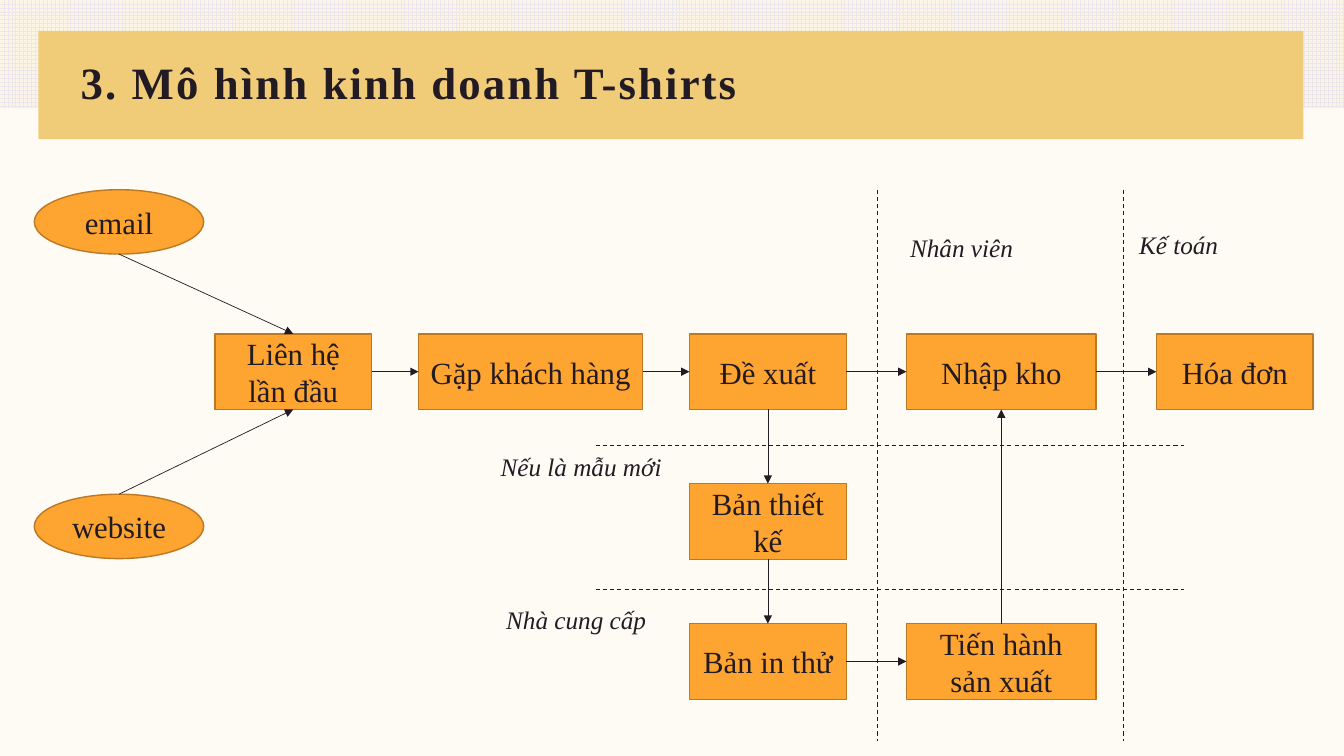
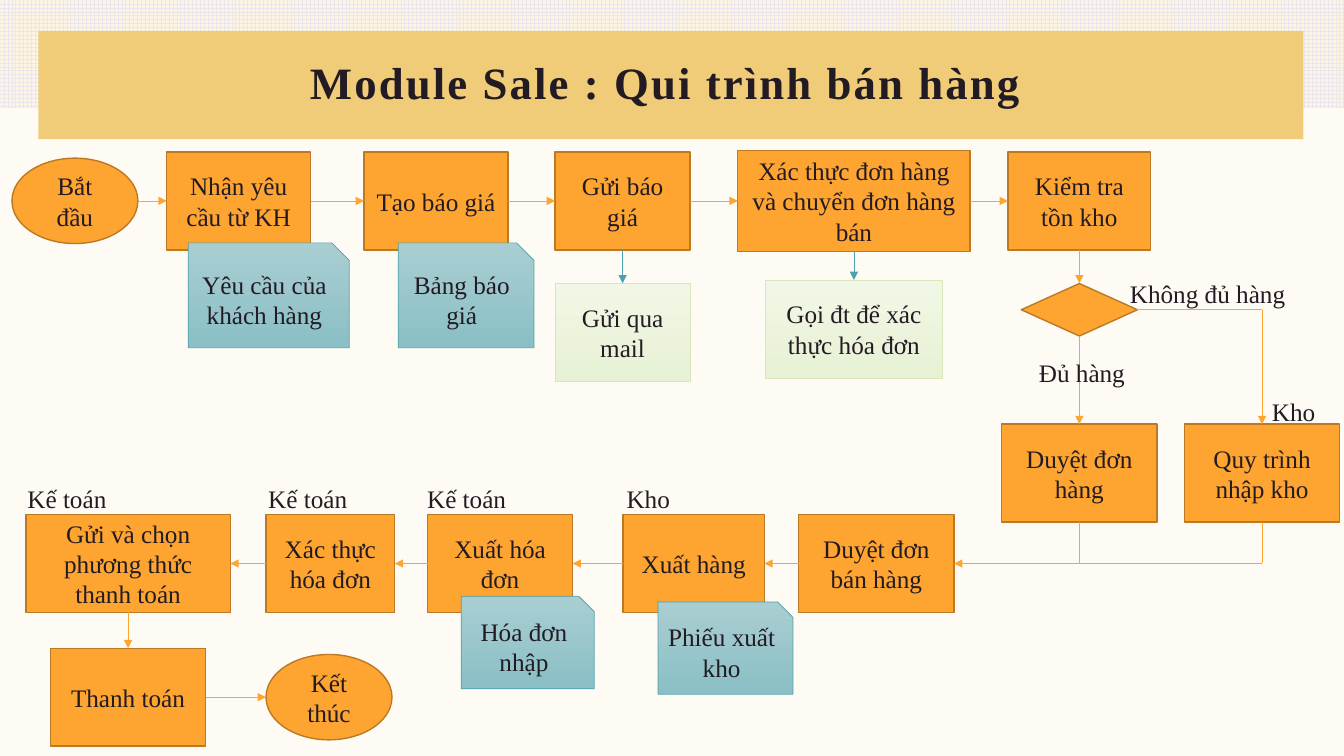
import dataclasses

import pptx
import pptx.dml.color
import pptx.enum.dml
import pptx.enum.shapes
import pptx.enum.text
import pptx.oxml
import pptx.oxml.ns
import pptx.slide
import pptx.util

Pt = pptx.util.Pt
RGBColor = pptx.dml.color.RGBColor
SHAPE = pptx.enum.shapes.MSO_SHAPE
ALIGN = pptx.enum.text.PP_ALIGN
ANCHOR = pptx.enum.text.MSO_ANCHOR
DASH = pptx.enum.dml.MSO_LINE.DASH
qn = pptx.oxml.ns.qn

FONT = "Times New Roman"
INK = RGBColor(0x23, 0x1B, 0x23)
PAPER = RGBColor(0xFE, 0xFB, 0xF5)
CREAM = RGBColor(0xFC, 0xF5, 0xE5)
GRID = RGBColor(0xEB, 0xE6, 0xEB)
GOLD = RGBColor(0xF0, 0xCC, 0x79)
ORANGE = RGBColor(0xFD, 0xA4, 0x31)
BROWN = RGBColor(0xBB, 0x79, 0x24)
TEAL = RGBColor(0x4D, 0xA1, 0xA8)
TEAL_LIGHT = RGBColor(0xA9, 0xCE, 0xD2)
TEAL_MID = RGBColor(0x8A, 0xBF, 0xC5)
LEAF = RGBColor(0xD7, 0xE7, 0xBA)
LEAF_LIGHT = RGBColor(0xF1, 0xF7, 0xE6)
LEAF_MID = RGBColor(0xE7, 0xF1, 0xD4)

SIDES = {"top": (0.5, 0, 0), "left": (0, 0.5, 1), "bottom": (0.5, 1, 2), "right": (1, 0.5, 3)}


def write(shape, text, size, align=ALIGN.LEFT, bold=False, italic=False):
    frame = shape.text_frame
    frame.word_wrap = True
    frame.text = text
    paragraph = frame.paragraphs[0]
    paragraph.alignment = align
    font = paragraph.runs[0].font
    font.name, font.size, font.bold, font.italic = FONT, Pt(size), bold, italic
    font.color.rgb = INK
    return paragraph


def site(shape, side):
    across, down, _ = SIDES[side]
    return shape.left + int(shape.width * across), shape.top + int(shape.height * down)


@dataclasses.dataclass
class Board:
    slide: pptx.slide.Slide
    left: float
    top: float
    size: int
    ink: RGBColor

    def node(self, text, x, y, width, height, kind=SHAPE.RECTANGLE,
             colours=(ORANGE,), edge=BROWN, weight=1):
        shape = self.slide.shapes.add_shape(
            kind, Pt(self.left + x), Pt(self.top + y), Pt(width), Pt(height))
        shape.shadow.inherit = False
        if len(colours) == 1:
            shape.fill.solid()
            shape.fill.fore_color.rgb = colours[0]
        else:
            shape.fill.gradient()
            shape.fill.gradient_angle = 270
            for stop, colour in zip(shape.fill.gradient_stops, colours):
                stop.color.rgb = colour
        shape.line.color.rgb = edge
        shape.line.width = Pt(weight)
        if text:
            write(shape, text, self.size, ALIGN.CENTER)
            shape.text_frame.vertical_anchor = ANCHOR.MIDDLE
        return shape

    def document(self, text, x, y, width, height):
        return self.node(text, x, y, width, height, SHAPE.SNIP_1_RECTANGLE,
                         (TEAL_LIGHT, TEAL_MID), TEAL, 0.5)

    def action(self, text, x, y, width, height):
        return self.node(text, x, y, width, height, SHAPE.RECTANGLE,
                         (LEAF_LIGHT, LEAF_MID), LEAF, 0.5)

    def caption(self, text, x, y, width, italic=False):
        label = self.slide.shapes.add_textbox(
            Pt(self.left + x), Pt(self.top + y), Pt(width), Pt(29))
        write(label, text, 18, italic=italic)

    def stroke(self, start, end, colour, weight=0.5, dash=None, arrow=True):
        line = self.slide.shapes.add_connector(
            pptx.enum.shapes.MSO_CONNECTOR.STRAIGHT, *start, *end)
        line.line.color.rgb = colour
        line.line.width = Pt(weight)
        if dash:
            line.line.dash_style = dash
        properties = line._element.spPr
        if arrow:
            outline = properties.find(qn("a:ln"))
            outline.append(outline.makeelement(qn("a:tailEnd"), {"type": "triangle"}))
        properties.append(properties.makeelement(qn("a:effectLst"), {}))
        return line

    def link(self, source, out_side, target, in_side, colour=None):
        line = self.stroke(site(source, out_side), site(target, in_side), colour or self.ink)
        if source.auto_shape_type != SHAPE.OVAL:
            line.begin_connect(source, SIDES[out_side][2])
        if target.auto_shape_type != SHAPE.OVAL:
            line.end_connect(target, SIDES[in_side][2])

    def chain(self, nodes, out_side="right", in_side="left"):
        for source, target in zip(nodes, nodes[1:]):
            self.link(source, out_side, target, in_side)

    def route(self, points, arrow=True):
        last = len(points) - 2
        for index, (start, end) in enumerate(zip(points, points[1:])):
            self.stroke(start, end, self.ink, arrow=arrow and index == last)

    def divider(self, x1, y1, x2, y2):
        self.stroke((Pt(self.left + x1), Pt(self.top + y1)),
                    (Pt(self.left + x2), Pt(self.top + y2)), INK, 0.75, DASH, False)


def add_titled_slide(deck, title, align):
    slide = deck.slides.add_slide(deck.slide_layouts[6])
    backdrop = slide.shapes.add_shape(SHAPE.RECTANGLE, 0, 0, deck.slide_width, Pt(77.5))
    backdrop.fill.patterned()
    backdrop.fill.pattern = pptx.enum.dml.MSO_PATTERN.LARGE_GRID
    backdrop.fill.fore_color.rgb = GRID
    backdrop.fill.back_color.rgb = CREAM
    band = slide.shapes.add_shape(SHAPE.RECTANGLE, Pt(27.5), Pt(22), Pt(903.5), Pt(77.5))
    band.fill.solid()
    band.fill.fore_color.rgb = GOLD
    for part in (backdrop, band):
        part.shadow.inherit = False
        part.line.fill.background()
    heading = slide.shapes.add_textbox(Pt(50.5), Pt(38), Pt(859), Pt(46))
    paragraph = write(heading, title, 32, align, bold=True)
    paragraph.line_spacing = 0.9
    paragraph.runs[0].font._element.set("spc", "150")
    heading.text_frame.vertical_anchor = ANCHOR.MIDDLE
    return slide


def draw_business_model(slide, left, top):
    board = Board(slide, left, top, 22, INK)
    main_row, design_row, print_row, height = 103, 210, 310, 54

    email, website = [board.node(name, 0, y, 121, 46, SHAPE.OVAL)
                      for name, y in (("email", 0), ("website", 217.5))]
    contact, meeting, proposal, stock, invoice = [
        board.node(text, x, main_row, width, height) for text, x, width in (
            ("Liên hệ lần đầu", 129, 112),
            ("Gặp khách hàng", 274.5, 160),
            ("Đề xuất", 468, 112),
            ("Nhập kho", 623, 135.5),
            ("Hóa đơn", 801.5, 112))]
    design = board.node("Bản thiết kế", 468, design_row, 112, height)
    sample = board.node("Bản in thử", 468, print_row, 112, height)
    production = board.node("Tiến hành sản xuất", 623, print_row, 135.5, height)

    board.link(email, "bottom", contact, "top")
    board.link(website, "top", contact, "bottom")
    board.chain([contact, meeting, proposal, stock, invoice])
    board.chain([proposal, design, sample], "bottom", "top")
    board.link(sample, "right", production, "left")
    board.link(production, "top", stock, "bottom")

    for x in (602, 778):
        board.divider(x, 0, x, 394)
    for y in (183, 285.5):
        board.divider(401, y, 821, y)
    for text, x, y, width in (
            ("Nếu là mẫu mới", 326, 183, 150),
            ("Nhà cung cấp", 330, 292.5, 130),
            ("Nhân viên", 618.5, 27, 150),
            ("Kế toán", 782, 25, 123)):
        board.caption(text, x, y, width, italic=True)


def draw_sales_process(slide, left, top):
    board = Board(slide, left, top, 18, ORANGE)
    height, lower_row, approval_row, payment_row = 70, 259, 194.5, 354.5

    start = board.node("Bắt đầu", 0, 4.5, 90, 61, SHAPE.OVAL)
    request, quote, send, confirm, check = [
        board.node(text, x, y, width, height - 2 * y) for text, x, y, width in (
            ("Nhận yêu cầu từ KH", 110.5, 0, 103),
            ("Tạo báo giá", 251.5, 0, 103),
            ("Gửi báo giá", 388, 0, 96.5),
            ("Xác thực đơn hàng và chuyển đơn hàng bán", 518.5, -1, 166),
            ("Kiểm tra tồn kho", 711.5, 0, 102))]
    in_stock = board.node("", 721, 94, 83, 37.5, SHAPE.DIAMOND)
    approve, restock = [
        board.node(text, x, approval_row, 111, height)
        for text, x in (("Duyệt đơn hàng", 707), ("Quy trình nhập kho", 837.5))]
    sale, delivery, bill, bill_check, method = [
        board.node(text, x, lower_row, width, height) for text, x, width in (
            ("Duyệt đơn bán hàng", 562, 111),
            ("Xuất hàng", 436.5, 101),
            ("Xuất hóa đơn", 297, 103.5),
            ("Xác thực hóa đơn", 181.5, 92),
            ("Gửi và chọn phương thức thanh toán", 10, 146))]
    payment = board.node("Thanh toán", 27.5, payment_row, 111, height)
    finish = board.node("Kết thúc", 181.5, payment_row + 4.5, 90, 61, SHAPE.OVAL)

    mail = board.action("Gửi qua mail", 388, 94, 96.5, height)
    call = board.action("Gọi đt để xác thực hóa đơn", 538, 91.5, 127, height)
    for text, x, y, width, tall in (
            ("Yêu cầu của khách hàng", 126, 65, 115, 75),
            ("Bảng báo giá", 276, 65, 97, 75),
            ("Phiếu xuất kho", 461.5, 321.5, 96.5, 66),
            ("Hóa đơn nhập", 321, 317.5, 95, 66)):
        board.document(text, x, y, width, tall)

    board.chain([start, request, quote, send, confirm, check])
    board.chain([check, in_stock, approve], "bottom", "top")
    board.chain([sale, delivery, bill, bill_check, method], "left", "right")
    board.link(method, "bottom", payment, "top")
    board.link(payment, "right", finish, "left")
    board.link(send, "bottom", mail, "top", TEAL)
    board.link(confirm, "bottom", call, "top", TEAL)

    shortage, restock_in = site(in_stock, "right"), site(restock, "top")
    board.route([shortage, (restock_in[0], shortage[1]), restock_in])
    restocked, approved = site(restock, "bottom"), site(approve, "bottom")
    sale_in = site(sale, "right")
    board.route([restocked, (restocked[0], sale_in[1]), sale_in])
    board.route([approved, (approved[0], sale_in[1])], arrow=False)

    for text, x, y, width in (
            ("Đủ hàng", 726.5, 143.5, 80),
            ("Không đủ hàng", 791.5, 86.5, 132),
            ("Kho", 893, 171, 58),
            ("Kho", 432, 233.5, 130),
            ("Kế toán", 289.5, 233.5, 130),
            ("Kế toán", 176, 233.5, 130),
            ("Kế toán", 4, 233.5, 130)):
        board.caption(text, x, y, width)


def main():
    deck = pptx.Presentation()
    deck.slide_width, deck.slide_height = Pt(960), Pt(540)
    paper = deck.slide_master.background.fill
    paper.solid()
    paper.fore_color.rgb = PAPER

    model = add_titled_slide(deck, "3. Mô hình kinh doanh T-shirts", ALIGN.LEFT)
    draw_business_model(model, 24.5, 135.5)
    process = add_titled_slide(deck, "Module Sale : Qui trình bán hàng ", ALIGN.CENTER)
    draw_sales_process(process, 8.5, 108.5)
    deck.save("out.pptx")


if __name__ == "__main__":
    main()
